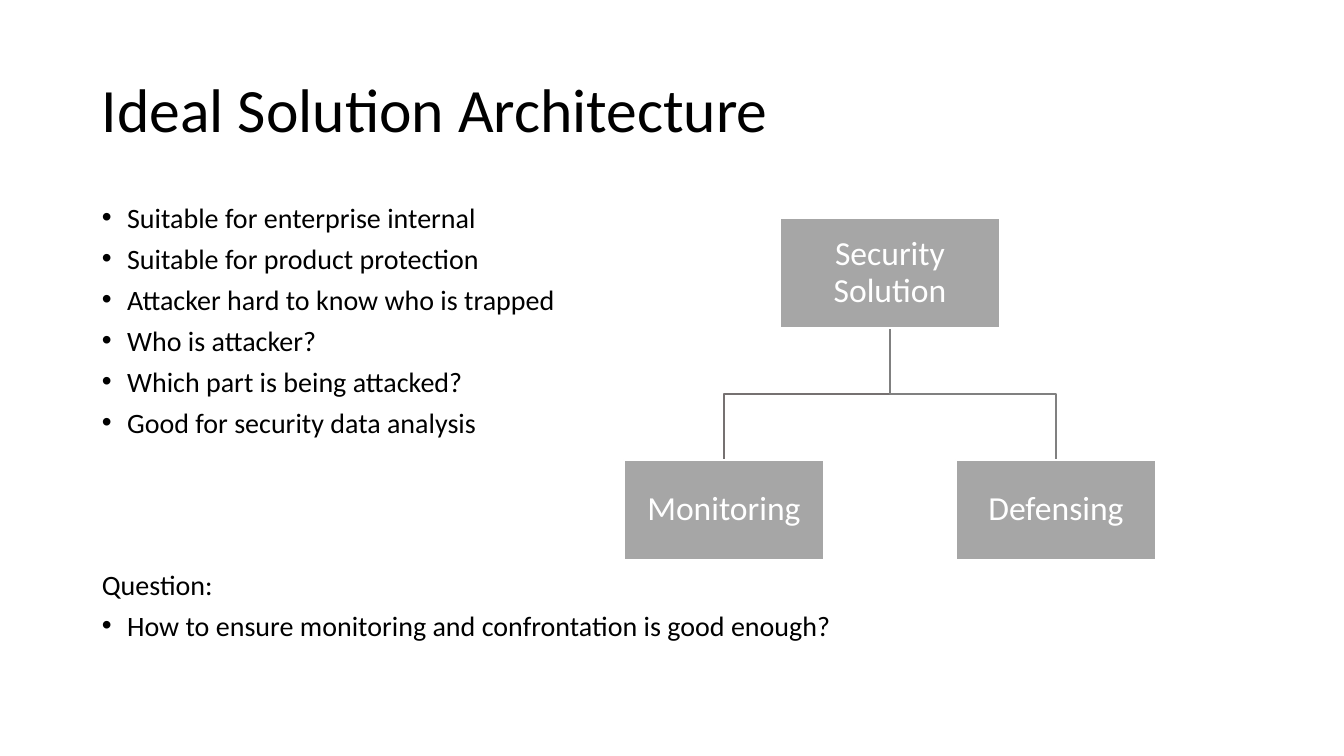
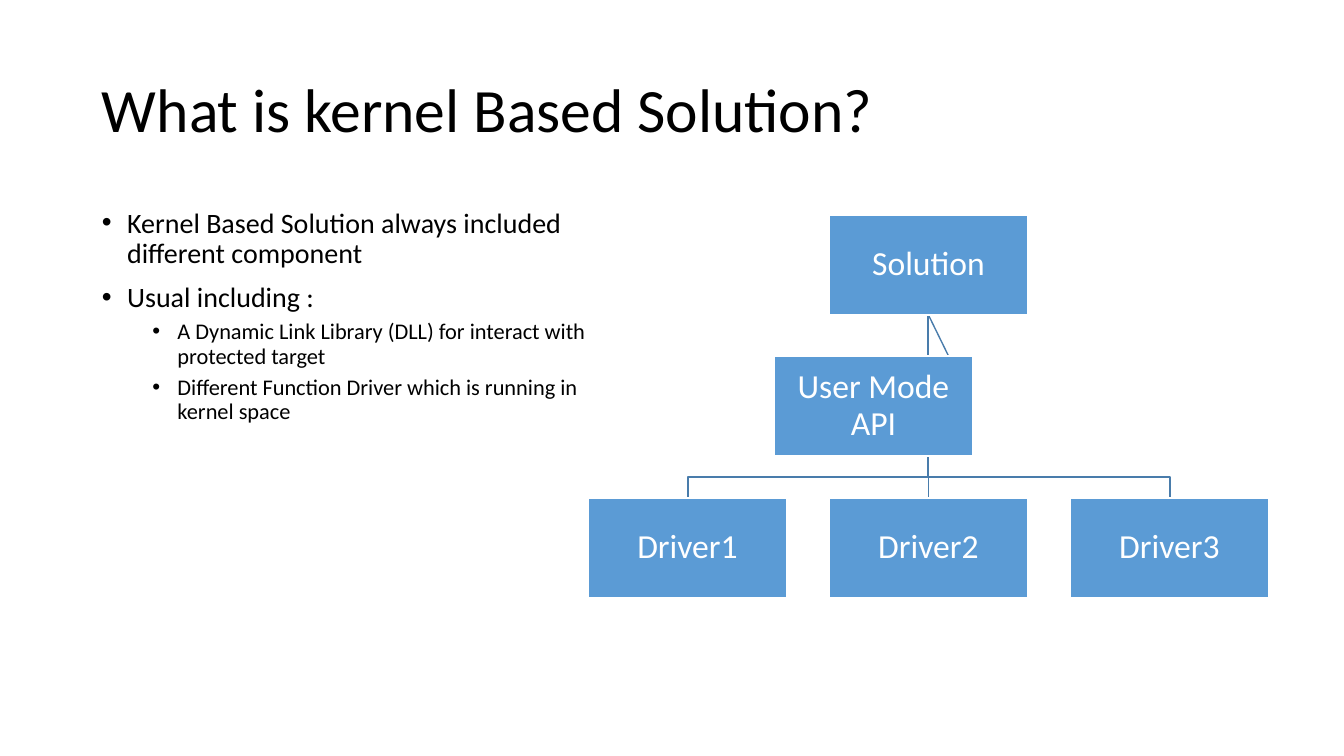
from dataclasses import dataclass
from lxml.etree import SubElement
from pptx import Presentation
from pptx.dml.color import RGBColor
from pptx.enum.shapes import MSO_CONNECTOR as Connector, MSO_SHAPE as Shape
from pptx.enum.text import MSO_ANCHOR as Anchor, PP_ALIGN as Align
from pptx.oxml.ns import qn
from pptx.util import Pt

EMU_PER_PIXEL = 914400 / 100.8


@dataclass(frozen=True)
class Theme:
    font: str = "Calibri"
    ink: str = "000000"
    white: str = "FFFFFF"
    gray_box: str = "A6A6A6"
    gray_lines: tuple = ("767171", "808080")
    blue_box: str = "5B9BD5"
    blue_line: str = "497CAB"
    title_size: int = 44
    node_size: int = 24
    body_size: int = 20
    detail_size: int = 16
    line_width: int = 1


@dataclass(frozen=True)
class Box:
    left: float
    top: float
    width: float
    height: float

    @property
    def center(self):
        return self.left + self.width / 2

    @property
    def middle(self):
        return self.top + self.height / 2

    @property
    def right(self):
        return self.left + self.width

    @property
    def bottom(self):
        return self.top + self.height

    def emu(self):
        return [px(side) for side in (self.left, self.top, self.width, self.height)]


THEME = Theme()
PAGE = Box(0, 0, 1344, 756)
TITLE = Box(92, 40, 1159, 146)


def px(length):
    return round(length * EMU_PER_PIXEL)


def rgb(color):
    return RGBColor.from_string(color)


def write_text(frame, text, *, size=THEME.body_size, color=THEME.ink, align=Align.LEFT,
               spacing=0.9, before=0, bullet=False, level=0):
    para = frame.paragraphs[0] if not frame.text else frame.add_paragraph()
    para.alignment, para.level = align, level
    para.line_spacing, para.space_before = spacing, Pt(before)
    if bullet:
        props = para._p.get_or_add_pPr()
        props.set("marL", str(px(25.2 + 50.4 * level)))
        props.set("indent", str(px(-25.2)))
        SubElement(props, qn("a:buFont"), typeface="Arial")
        SubElement(props, qn("a:buChar"), char="•")
    span = para.add_run()
    span.text = text
    span.font.name, span.font.size = THEME.font, Pt(size)
    span.font.color.rgb = rgb(color)


def add_text_frame(page, box, anchor=Anchor.TOP):
    frame = page.shapes.add_textbox(*box.emu()).text_frame
    frame.word_wrap = True
    frame.vertical_anchor = anchor
    return frame


def add_page(deck, title):
    page = deck.slides.add_slide(deck.slide_layouts[6])
    frame = add_text_frame(page, TITLE, Anchor.MIDDLE)
    write_text(frame, title, size=THEME.title_size)
    return page


def add_node(page, box, label, fill):
    node = page.shapes.add_shape(Shape.RECTANGLE, *box.emu())
    node.shadow.inherit = False
    node.fill.solid()
    node.fill.fore_color.rgb = rgb(fill)
    node.line.color.rgb = rgb(THEME.white)
    node.line.width = Pt(THEME.line_width)
    frame = node.text_frame
    frame.word_wrap = True
    frame.vertical_anchor = Anchor.MIDDLE
    frame.margin_left = frame.margin_right = frame.margin_top = frame.margin_bottom = px(2)
    write_text(frame, label, size=THEME.node_size, color=THEME.white, align=Align.CENTER)


def add_straight(page, start, end, color):
    link = page.shapes.add_connector(Connector.STRAIGHT, *map(px, start + end))
    link.line.color.rgb = rgb(color)
    link.line.width = Pt(THEME.line_width)
    SubElement(link._element.spPr, qn("a:effectLst"))


def add_branch(page, start, end, bus, color):
    if start[0] == end[0]:
        add_straight(page, start, end, color)
        return
    builder = page.shapes.build_freeform(*start, scale=EMU_PER_PIXEL)
    builder.add_line_segments([(start[0], bus), (end[0], bus), end], close=False)
    branch = builder.convert_to_shape()
    branch.shadow.inherit = False
    branch.fill.background()
    branch.line.color.rgb = rgb(color)
    branch.line.width = Pt(THEME.line_width)


def add_hierarchy(page, box, root, leaves, root_size, leaf_size, drop, fill, lines,
                  assistant=None, assistant_offset=(0, 0)):
    root_box = Box(box.center - root_size[0] / 2, box.top, *root_size)
    step = (box.width - leaf_size[0]) / (len(leaves) - 1)
    leaf_boxes = [Box(box.left + step * index, box.bottom - leaf_size[1], *leaf_size)
                  for index in range(len(leaves))]
    nodes = [(root_box, root), *zip(leaf_boxes, leaves)]
    start = (root_box.center, root_box.bottom)
    bus = leaf_boxes[0].top - drop
    for leaf, color in zip(leaf_boxes, lines):
        add_branch(page, start, (leaf.center, leaf.top), bus, color)
    if assistant:
        across, down = assistant_offset
        side_box = Box(root_box.left + across, root_box.top + down, *leaf_size)
        add_straight(page, start, (side_box.right, side_box.middle), lines[0])
        nodes.append((side_box, assistant))
    for node_box, label in nodes:
        add_node(page, node_box, label, fill)


def add_architecture_points(page, box):
    frame = add_text_frame(page, box)
    points = ["Suitable for enterprise internal", "Suitable for product protection",
              "Attacker hard to know who is trapped", "Who is attacker?",
              "Which part is being attacked?", "Good for security data analysis"]
    for point in points:
        write_text(frame, point, spacing=0.8, before=10, bullet=True)
    write_text(frame, "Question:", spacing=0.8, before=97)
    write_text(frame, "How to ensure monitoring and confrontation is good enough?",
               spacing=0.8, before=10, bullet=True)


def add_kernel_points(page, box):
    frame = add_text_frame(page, box)
    for point in ["Kernel Based Solution always included different component",
                  "Usual including :"]:
        write_text(frame, point, before=10, bullet=True)
    for detail in ["A Dynamic Link Library (DLL) for interact with protected target",
                   "Different Function Driver which is running in kernel space"]:
        write_text(frame, detail, size=THEME.detail_size, before=5, bullet=True, level=1)


def build_architecture(deck):
    page = add_page(deck, "Ideal Solution Architecture")
    add_hierarchy(page, Box(624, 218, 532, 342), "Security Solution",
                  ["Monitoring", "Defensing"], root_size=(220, 110), leaf_size=(200, 100),
                  drop=66, fill=THEME.gray_box, lines=THEME.gray_lines)
    add_architecture_points(page, Box(92, 202, 1159, 480))


def build_kernel(deck):
    page = add_page(deck, "What is kernel Based Solution?")
    add_hierarchy(page, Box(588, 215, 681, 383), "Solution",
                  ["Driver1", "Driver2", "Driver3"], root_size=(199, 100),
                  leaf_size=(199, 100), drop=21, fill=THEME.blue_box,
                  lines=[THEME.blue_line] * 3, assistant="User Mode API",
                  assistant_offset=(-55, 141))
    add_kernel_points(page, Box(92, 204, 511, 477))


deck = Presentation()
deck.slide_width, deck.slide_height = px(PAGE.width), px(PAGE.height)
build_architecture(deck)
build_kernel(deck)
deck.save("out.pptx")
